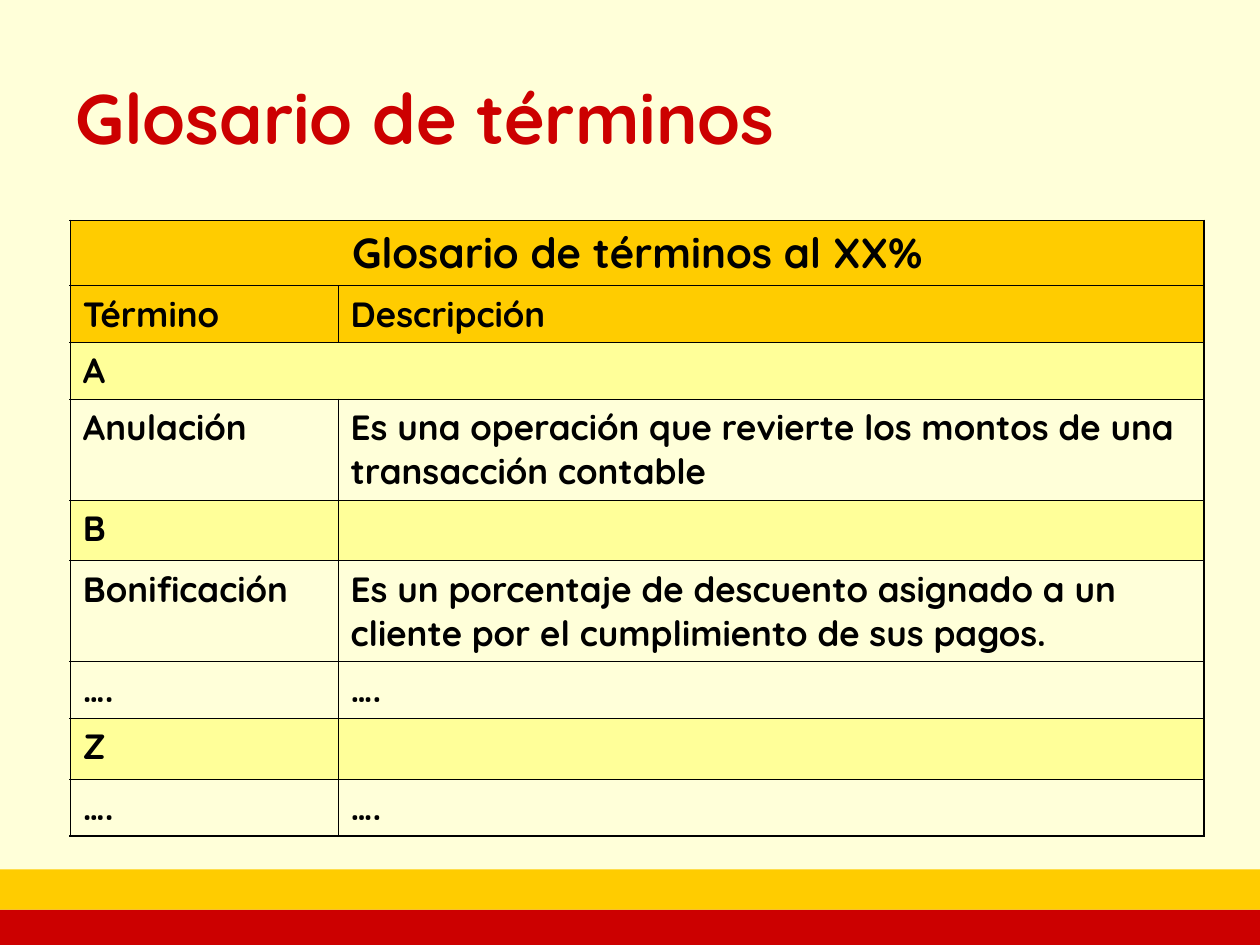
from lxml.etree import SubElement
from pptx import Presentation
from pptx.dml.color import RGBColor
from pptx.enum.shapes import MSO_SHAPE
from pptx.enum.text import MSO_ANCHOR, PP_ALIGN
from pptx.oxml.ns import qn
from pptx.util import Pt

RED = RGBColor(0xCC, 0x00, 0x00)
GOLD = RGBColor(0xFF, 0xCC, 0x00)
LEMON = RGBColor(0xFF, 0xFF, 0x99)
CREAM = RGBColor(0xFF, 0xFF, 0xD9)
BLACK = RGBColor(0x00, 0x00, 0x00)
THICK, THIN = 1.08, 0.45


def style(par, size, color):
    form = {"name": "Quicksand", "size": Pt(size), "bold": True}
    for run in par.runs:
        for key, val in form.items():
            setattr(run.font, key, val)
        run.font.color.rgb = color


def border(cell, widths):
    props = cell._tc.get_or_add_tcPr()
    for spot, (side, width) in enumerate(widths.items()):
        line = SubElement(props, qn(f"a:{side}"), w=str(int(Pt(width))))
        fill = SubElement(line, qn("a:solidFill"))
        SubElement(fill, qn("a:srgbClr"), val=str(BLACK))
        props.insert(spot, line)  # lines come before the fill


deck = Presentation()
deck.slide_width, deck.slide_height = Pt(720), Pt(540)
slide = deck.slides.add_slide(deck.slide_layouts[5])
slide.background.fill.solid()
slide.background.fill.fore_color.rgb = CREAM

# Bands along the bottom edge
for top, high, color in [(519.8, 20.2, RED), (496.8, 23, GOLD)]:
    band = slide.shapes.add_shape(MSO_SHAPE.RECTANGLE, 0, Pt(top), Pt(720), Pt(high))
    band.shadow.inherit = False
    band.fill.solid()
    band.fill.fore_color.rgb = color
    band.line.fill.background()

# Title
title = slide.shapes.title
place = {"left": 36, "top": 21.6, "width": 648, "height": 90}
for key, val in place.items():
    setattr(title, key, Pt(val))
title.text_frame.text = "Glosario de términos"
title.text_frame.vertical_anchor = MSO_ANCHOR.MIDDLE
title.text_frame.paragraphs[0].alignment = PP_ALIGN.LEFT
style(title.text_frame.paragraphs[0], 40, RED)

# Glossary rows: height, fill, texts (a single text spans both columns)
rows = [
    (37.2, GOLD, ["Glosario de términos al XX%"]),
    (32.4, GOLD, ["Término", "Descripción"]),
    (32.4, LEMON, ["A"]),
    (57.6, CREAM, ["Anulación",
                   "Es una operación que revierte los montos de una transacción contable"]),
    (34.8, LEMON, ["B", ""]),
    (57.6, CREAM, ["Bonificación",
                   "Es un porcentaje de descuento asignado a un cliente "
                   "por el cumplimiento de sus pagos."]),
    (32.4, CREAM, ["….", "…."]),
    (34.8, LEMON, ["Z", ""]),
    (32.4, CREAM, ["….", "…."]),
]
total = sum(row[0] for row in rows)
frame = slide.shapes.add_table(len(rows), 2, Pt(40.2), Pt(126), Pt(648), Pt(total))
table = frame.table
table.first_row = table.horz_banding = False
for col, width in zip(table.columns, (153, 495)):
    col.width = Pt(width)

last = len(rows) - 1
for r, (high, color, texts) in enumerate(rows):
    table.rows[r].height = Pt(high)
    span = len(texts) == 1
    if span:
        table.cell(r, 0).merge(table.cell(r, 1))
    for c in range(2):
        cell = table.cell(r, c)
        cell.fill.solid()
        cell.fill.fore_color.rgb = color
        border(cell, {
            "lnL": THICK if c == 0 else THIN,
            "lnR": THICK if c == 1 or span else THIN,
            "lnT": THICK if r == 0 else THIN,
            "lnB": THICK if r == last else THIN,
        })
        if c < len(texts) and texts[c]:
            cell.text = texts[c]
            par = cell.text_frame.paragraphs[0]
            par.alignment = PP_ALIGN.CENTER if r == 0 else PP_ALIGN.LEFT
            style(par, 24 if r == 0 else 20, BLACK)

deck.save("out.pptx")
